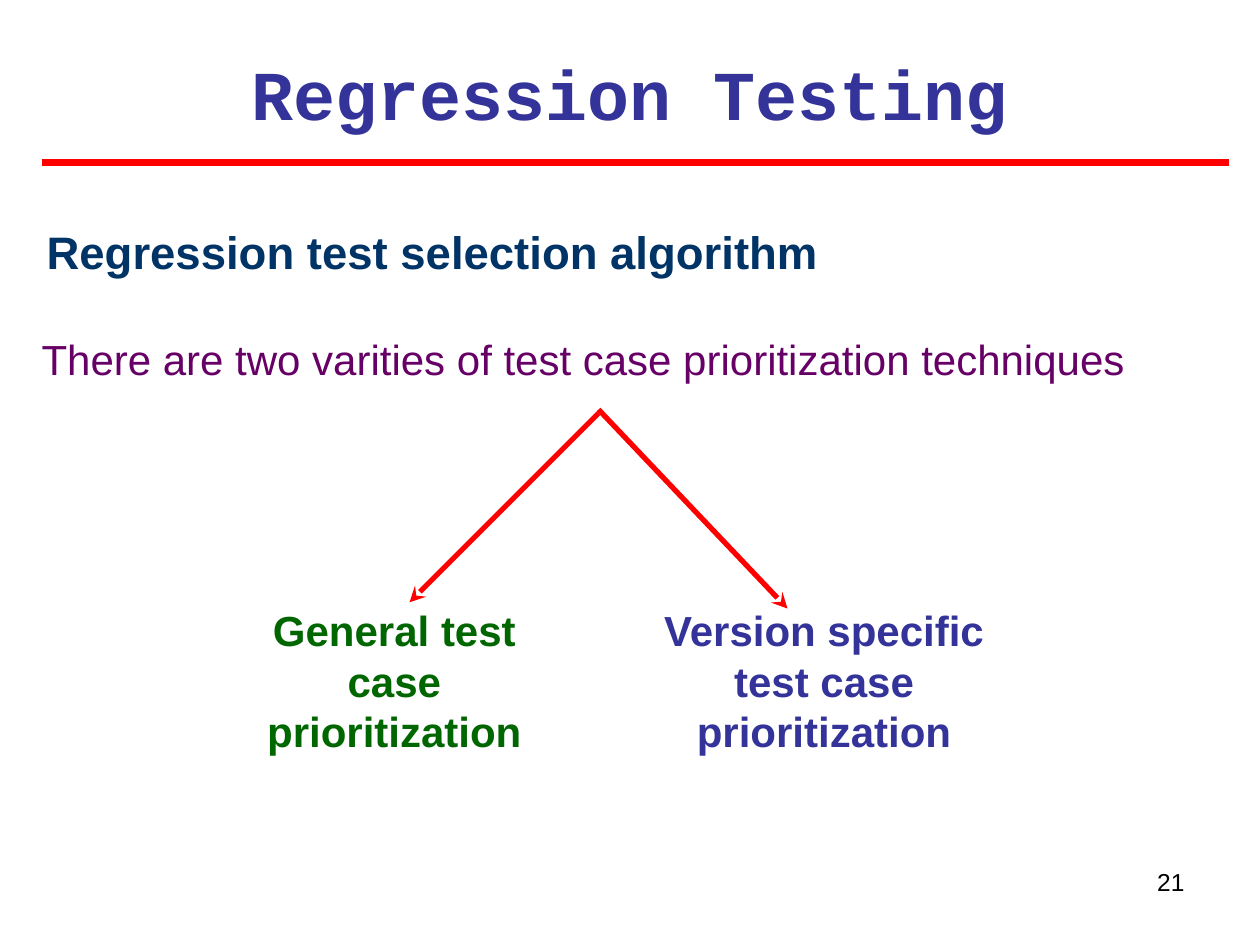
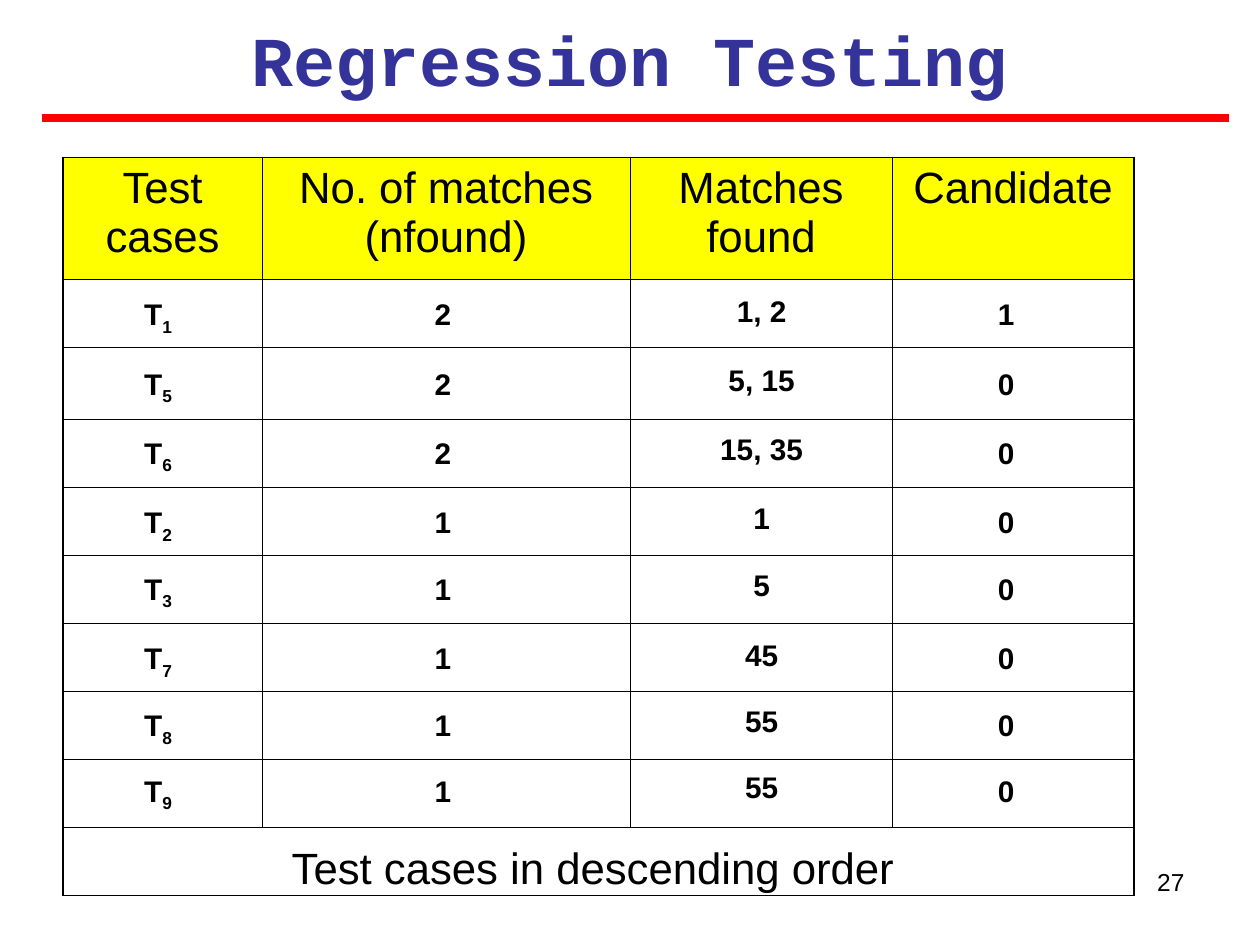
"""Build two regression testing slides: prioritization techniques and ordered test cases."""
from lxml import etree
from pptx import Presentation
from pptx.dml.color import RGBColor
from pptx.enum.shapes import MSO_CONNECTOR
from pptx.enum.text import MSO_ANCHOR, MSO_AUTO_SIZE, PP_ALIGN
from pptx.oxml.ns import qn
from pptx.util import Inches, Pt

STRAIGHT = MSO_CONNECTOR.STRAIGHT
TOP = MSO_ANCHOR.TOP
FIXED = MSO_AUTO_SIZE.NONE
GROW = MSO_AUTO_SIZE.SHAPE_TO_FIT_TEXT
CENTER, RIGHT, JUSTIFY = PP_ALIGN.CENTER, PP_ALIGN.RIGHT, PP_ALIGN.JUSTIFY

BODY_FONT, TITLE_FONT = "Arial", "Courier New"
BLACK, RED, YELLOW = "000000", "FF0000", "FFFF00"
INDIGO, NAVY, PURPLE, GREEN = "333399", "003366", "660066", "006600"
THIN, THICK = 0.45, 1.08

HEADERS = ["Test cases", "No. of matches (nfound)", "Matches found", "Candidate"]
COLUMN_WIDTHS = [1.58, 2.92, 2.08, 1.92]
ROW_HEIGHTS = [0.97, 0.54, 0.57] + [0.54] * 7
TEST_CASES = [
    ("1", "2", "1, 2", "1"),
    ("5", "2", "5, 15", "0"),
    ("6", "2", "15, 35", "0"),
    ("2", "1", "1", "0"),
    ("3", "1", "5", "0"),
    ("7", "1", "45", "0"),
    ("8", "1", "55", "0"),
    ("9", "1", "55", "0"),
]
VALUE_TOPS = [2.35, 2.9, 3.45, 4, 4.53, 5.08, 5.61, 6.13]


def color(value):
    """Turn a hex string into a colour."""
    return RGBColor.from_string(value)


def place(shape, left, top, width, height):
    """Set the position and size of a shape."""
    shape.left, shape.top = Inches(left), Inches(top)
    shape.width, shape.height = Inches(width), Inches(height)


def add_span(para, text, size, hue=BLACK, bold=False, font=BODY_FONT):
    """Add one formatted run to a paragraph."""
    span = para.add_run()
    span.text = text
    span.font.name = font
    span.font.size = Pt(size)
    span.font.bold = bold
    span.font.color.rgb = color(hue)
    return span


def add_box(page, area, align=CENTER, inset=(0, 0), fit=GROW):
    """Add a text box and return its first paragraph."""
    frame = page.shapes.add_textbox(*map(Inches, area)).text_frame
    frame.word_wrap = True
    frame.auto_size = fit
    frame.margin_left = frame.margin_right = Inches(inset[0])
    frame.margin_top = frame.margin_bottom = Inches(inset[1])
    para = frame.paragraphs[0]
    para.alignment = align
    return para


def add_line(page, start, end, width, arrow=False):
    """Draw a red line, with an arrowhead at its end if asked."""
    line = page.shapes.add_connector(STRAIGHT, *map(Inches, start + end))
    line.line.color.rgb = color(RED)
    line.line.width = Pt(width)
    properties = line._element.spPr
    if arrow:
        etree.SubElement(properties.find(qn("a:ln")), qn("a:tailEnd"), type="stealth")
    etree.SubElement(properties, qn("a:effectLst"))


def add_page(deck, number, title_top, rule_top):
    """Add a slide with the shared title, red rule and page number."""
    page = deck.slides.add_slide(deck.slide_layouts[5])
    title = page.shapes.title
    place(title, 0.33, title_top, 9.33, 0.77)
    frame = title.text_frame
    frame.auto_size = FIXED
    frame.vertical_anchor = TOP
    para = frame.paragraphs[0]
    para.alignment = CENTER
    add_span(para, "Regression Testing", 40, INDIGO, True, TITLE_FONT)
    add_line(page, (0.33, rule_top), (9.75, rule_top), 4.5)
    number_para = add_box(page, (7.17, 6.83, 2.33, 0.52), RIGHT, (0.1, 0.05), FIXED)
    add_span(number_para, str(number), 14)
    return page


def set_borders(cell, widths):
    """Give a cell black borders, widths in order left, right, top, bottom."""
    properties = cell._tc.get_or_add_tcPr()
    for side, width in zip("LRTB", widths):
        border = etree.SubElement(properties, qn(f"a:ln{side}"), w=str(Pt(width)))
        fill = etree.SubElement(border, qn("a:solidFill"))
        etree.SubElement(fill, qn("a:srgbClr"), val=BLACK)


def add_grid(page):
    """Add the ruled table with its yellow header and merged last row."""
    rows, columns = len(ROW_HEIGHTS), len(COLUMN_WIDTHS)
    area = (0.5, 1.25, sum(COLUMN_WIDTHS), sum(ROW_HEIGHTS))
    table = page.shapes.add_table(rows, columns, *map(Inches, area)).table
    table.first_row = table.horz_banding = False
    for column, width in zip(table.columns, COLUMN_WIDTHS):
        column.width = Inches(width)
    for row, height in zip(table.rows, ROW_HEIGHTS):
        row.height = Inches(height)
    table.cell(rows - 1, 0).merge(table.cell(rows - 1, columns - 1))
    for r in range(rows):
        for c in range(columns):
            cell = table.cell(r, c)
            outer = (c == 0 or r == rows - 1 and c == 0,
                     c == columns - 1 or r == rows - 1,
                     r == 0, r == rows - 1)
            set_borders(cell, [THICK if edge else THIN for edge in outer])
            cell.fill.background()
    for c, header in enumerate(HEADERS):
        cell = table.cell(0, c)
        cell.fill.solid()
        cell.fill.fore_color.rgb = color(YELLOW)
        para = cell.text_frame.paragraphs[0]
        para.alignment = CENTER
        add_span(para, header, 25)


def add_value(page, left, top, width, text, subscript=""):
    """Add one bold table value, with an optional subscript."""
    para = add_box(page, (left, top, width, 0.32 if subscript else 0.28))
    add_span(para, text, 17, bold=True)
    if subscript:
        span = add_span(para, subscript, 17, bold=True)
        span.font._element.set("baseline", "-25000")


def build_techniques(deck):
    """Build the slide that splits prioritization into two techniques."""
    page = add_page(deck, 21, 0.35, 1.29)
    labels = [
        ((0.37, 1.78, 9.33, 0.43), JUSTIFY, "Regression test selection algorithm", 26, NAVY, True),
        ((0.33, 2.65, 9.42, 0.4), JUSTIFY,
         "There are two varities of test case prioritization techniques", 24, PURPLE, False),
        ((2.05, 4.8, 2.16, 1.2), CENTER, "General test case prioritization", 24, GREEN, True),
        ((5.25, 4.8, 2.58, 1.2), CENTER,
         "Version specific test case prioritization", 24, INDIGO, True),
    ]
    for area, align, text, size, hue, bold in labels:
        add_span(add_box(page, area, align), text, size, hue, bold)
    add_line(page, (4.75, 3.28), (3.25, 4.78), 3, arrow=True)
    add_line(page, (4.75, 3.25), (6.25, 4.83), 3, arrow=True)


def build_ordered_cases(deck):
    """Build the slide with test cases in descending order of matches."""
    page = add_page(deck, 27, 0.08, 0.94)
    add_grid(page)
    for top, (case, count, matches, candidate) in zip(VALUE_TOPS, TEST_CASES):
        add_value(page, 0.92, top, 0.67, "T", case)
        add_value(page, 3.18, top, 0.67, count)
        add_value(page, 5.51, top - 0.03, 1.07, matches)
        add_value(page, 7.65, top, 0.67, candidate)
    caption = add_box(page, (0.83, 6.67, 7.75, 0.42))
    add_span(caption, "Test cases in descending order", 25)


def main():
    """Create the deck and save it."""
    deck = Presentation()
    deck.slide_width, deck.slide_height = Inches(10), Inches(7.5)
    build_techniques(deck)
    build_ordered_cases(deck)
    deck.save("out.pptx")


if __name__ == "__main__":
    main()
